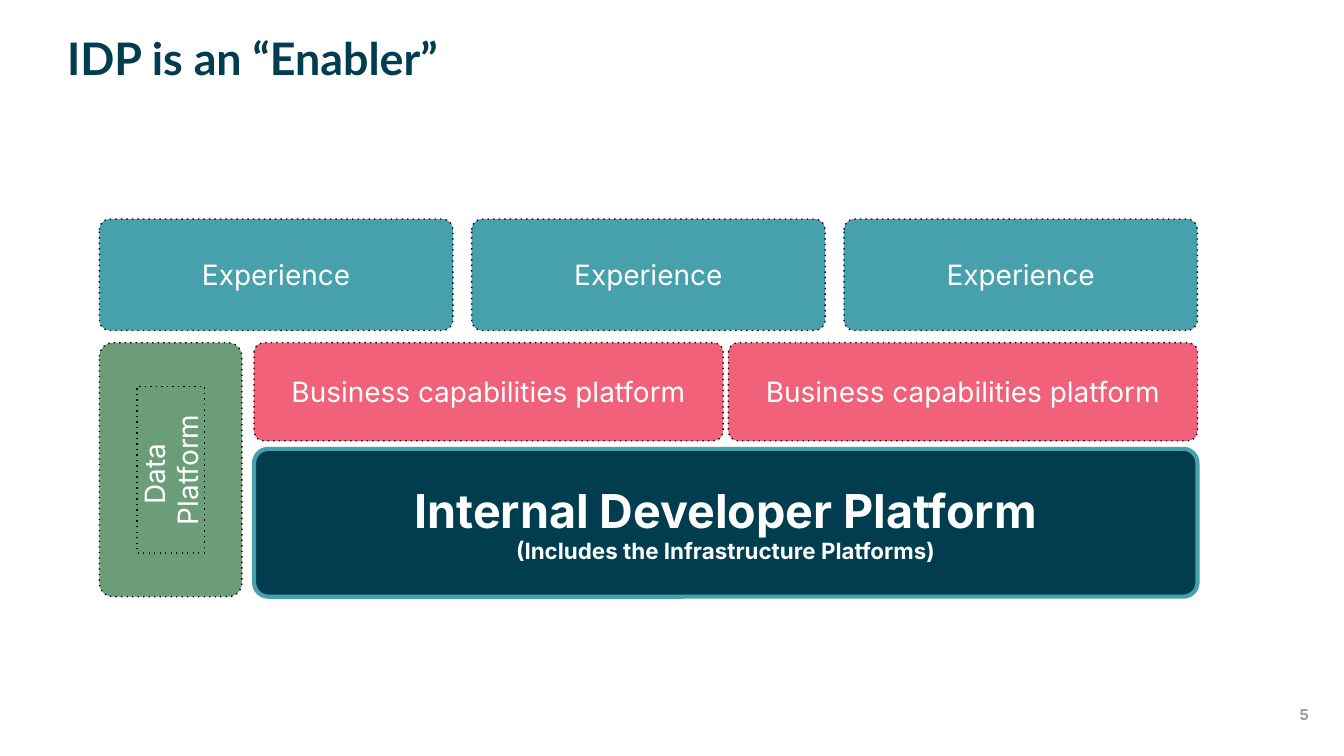
from dataclasses import dataclass

from pptx import Presentation
from pptx.dml.color import RGBColor as RGB
from pptx.enum.dml import MSO_LINE
from pptx.enum.shapes import MSO_SHAPE as SHAPE
from pptx.enum.text import MSO_ANCHOR as ANCHOR, PP_ALIGN as ALIGN
from pptx.oxml.ns import qn
from pptx.util import Inches, Pt


@dataclass(frozen=True)
class Theme:
    navy: RGB = RGB.from_string("003D4F")
    teal: RGB = RGB.from_string("47A1AD")
    pink: RGB = RGB.from_string("F2617A")
    green: RGB = RGB.from_string("6B9E78")
    gray: RGB = RGB.from_string("999999")
    white: RGB = RGB.from_string("FFFFFF")
    black: RGB = RGB.from_string("000000")
    body_font: str = "Inter"
    title_font: str = "Lato"
    title: int = 24
    platform: int = 25
    label: int = 15
    note: int = 12
    number: int = 8


T = Theme()


def write(shape, lines, color=T.white, font=T.body_font, bold=False,
          align=ALIGN.CENTER, anchor=ANCHOR.MIDDLE, inset=0.0):
    """Fill a shape with (text, size) lines."""
    tf = shape.text_frame
    tf.word_wrap = True
    tf.vertical_anchor = anchor
    tf.margin_left = tf.margin_right = Inches(inset)
    tf.margin_top = tf.margin_bottom = Inches(inset)
    for i, (text, size) in enumerate(lines):
        p = tf.add_paragraph() if i else tf.paragraphs[0]
        p.text = text
        p.alignment = align
        p.font.name, p.font.size, p.font.bold = font, Pt(size), bold
        p.font.color.rgb = color


def add_text(slide, box, text, size, **style):
    tb = slide.shapes.add_textbox(*map(Inches, box))
    write(tb, [(text, size)], **style)


def add_block(slide, box, fill=None, kind=SHAPE.ROUNDED_RECTANGLE, border=None):
    """Dotted black outline, or a solid one in the given border colour."""
    s = slide.shapes.add_shape(kind, *map(Inches, box))
    s.shadow.inherit = False
    if kind == SHAPE.ROUNDED_RECTANGLE:
        s.adjustments[0] = 0.096
    if fill is None:
        s.fill.background()
    else:
        s.fill.solid()
        s.fill.fore_color.rgb = fill
    s.line.color.rgb = border or T.black
    s.line.width = Pt(2.25 if border else 0.75)
    if not border:
        s.line.dash_style = MSO_LINE.ROUND_DOT
        dash = s.element.spPr.find(qn("a:ln")).find(qn("a:prstDash"))
        dash.set("val", "dot")
    return s


def add_row(slide, box, count, gap, text, fill):
    """Equal blocks side by side across the box."""
    x, y, w, h = box
    block_w = (w - gap * (count - 1)) / count
    for i in range(count):
        s = add_block(slide, (x + i * (block_w + gap), y, block_w, h), fill)
        write(s, [(text, T.label)], inset=0.1)


def add_data_platform(slide, box):
    """Tall block with a label turned to read upwards."""
    x, y, w, h = box
    add_block(slide, box, T.green)
    label_w, label_h = 1.24, 0.5
    label_box = (x + (w - label_w) / 2, y + (h - label_h) / 2, label_w, label_h)
    label = add_block(slide, label_box, kind=SHAPE.RECTANGLE)
    label.rotation = 270
    write(label, [("Data  Platform", T.label)], anchor=ANCHOR.TOP)


def add_developer_platform(slide, box):
    s = add_block(slide, box, T.navy, border=T.teal)
    write(s, [("Internal Developer Platform", T.platform),
              ("(Includes the Infrastructure Platforms)", T.note)],
          bold=True, inset=0.1)


def add_diagram(slide, box):
    x, y, w, h = box
    side_w, lower_y = 1.06, y + 0.92
    main_x, main_w = x + 1.15, w - 1.15
    bottom = y + h
    add_developer_platform(slide, (main_x, bottom - 1.1, main_w, 1.1))
    add_row(slide, (main_x, lower_y, main_w, 0.73), 2, 0.04,
            "Business capabilities platform", T.pink)
    add_data_platform(slide, (x, lower_y, side_w, bottom - lower_y))
    add_row(slide, (x, y, w, 0.83), 3, 0.14, "Experience", T.teal)


def main():
    prs = Presentation()
    prs.slide_width = Inches(10)
    prs.slide_height = prs.slide_width * 9 // 16
    slide = prs.slides.add_slide(prs.slide_layouts[6])

    # Title and page number
    add_text(slide, (0.5, 0.23, 9, 0.4), "IDP is an “Enabler”", T.title,
             color=T.navy, font=T.title_font, bold=True,
             align=ALIGN.LEFT, anchor=ANCHOR.TOP)
    add_text(slide, (9.6, 5.22, 0.21, 0.2), "5", T.number,
             color=T.gray, bold=True)

    # Platform layers
    add_diagram(slide, (0.74, 1.63, 8.17, 2.81))

    prs.save("out.pptx")


if __name__ == "__main__":
    main()
